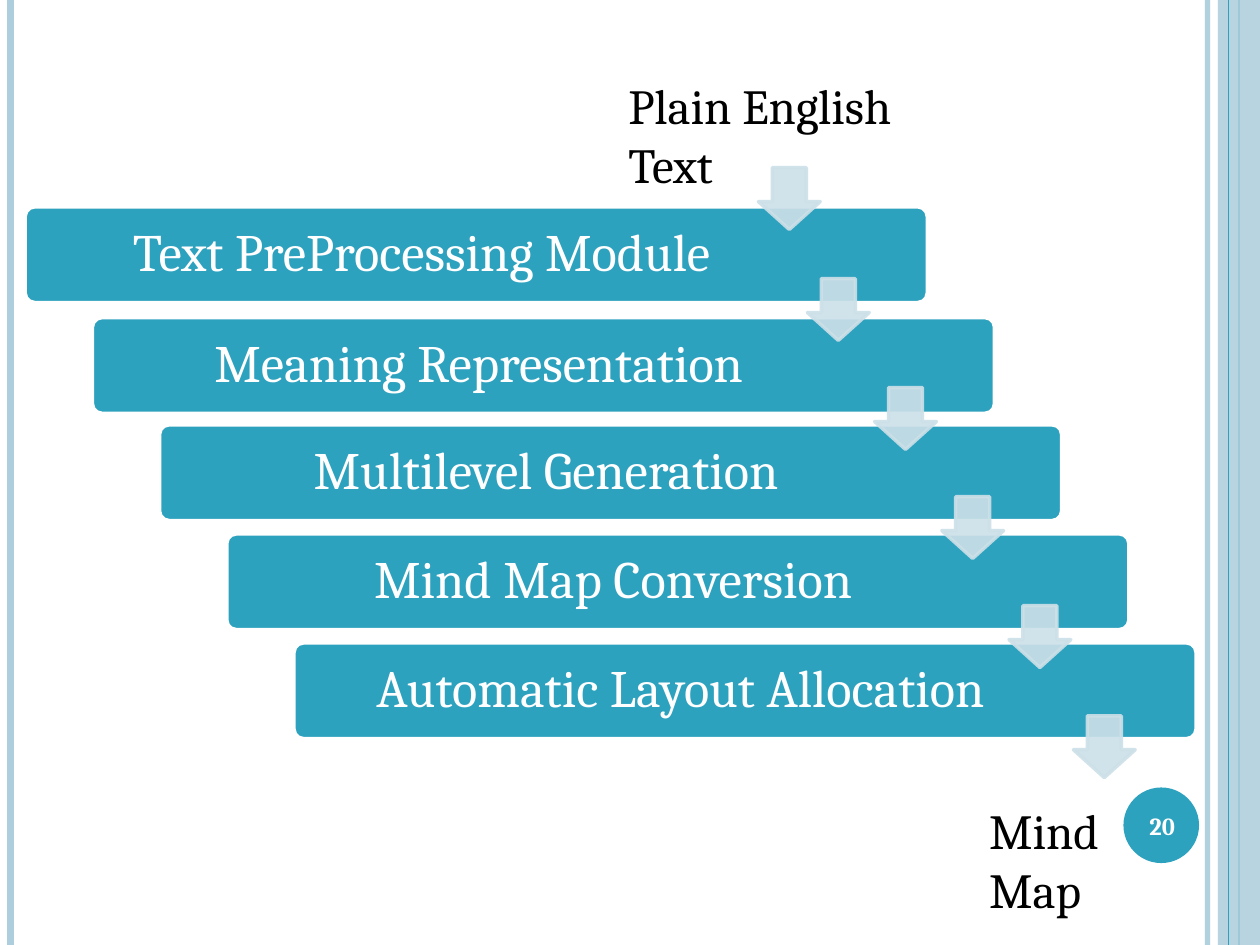
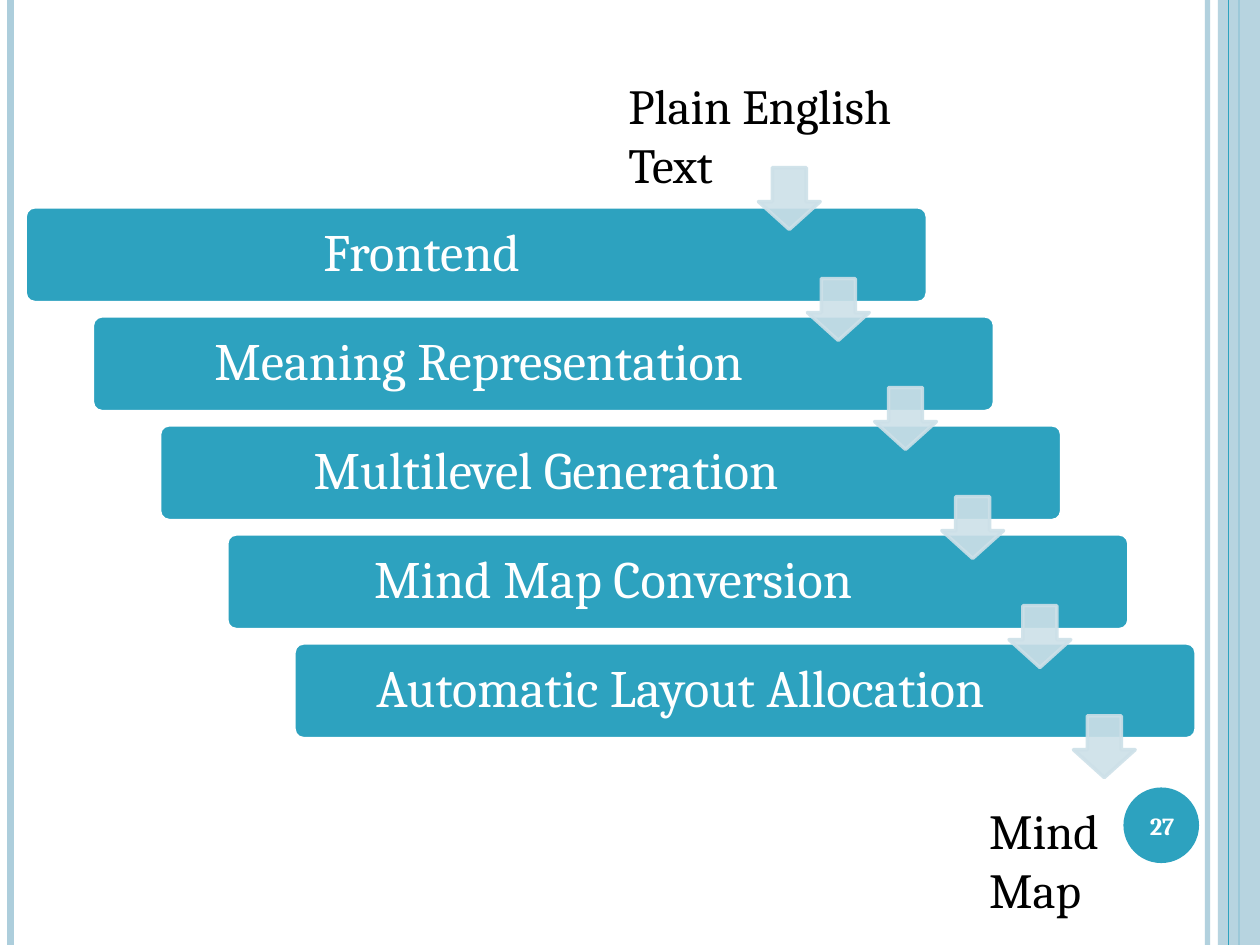
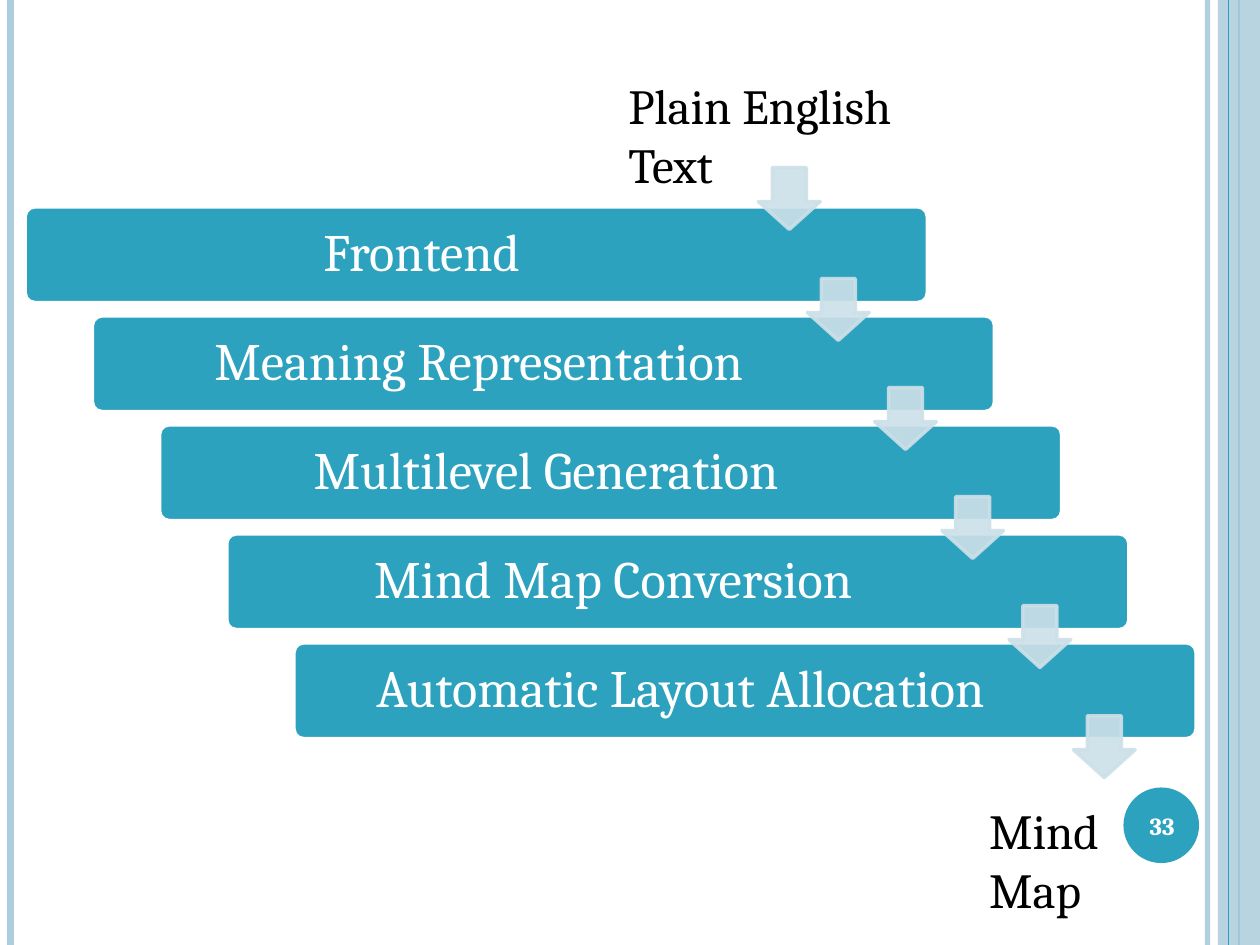
from pptx import Presentation
from pptx.dml.color import RGBColor
from pptx.enum.shapes import MSO_CONNECTOR as Conn, MSO_SHAPE as Form
from pptx.enum.text import MSO_ANCHOR as Anchor, PP_ALIGN as Align
from pptx.oxml.ns import qn
from pptx.util import Pt
from lxml.etree import SubElement as sub

WIDE, HIGH = 720, 540
TEAL, PALE, MIST, WHITE, BLACK = "2DA2BF", "ADCEDC", "CDE0E8", "FFFFFF", "000000"
FONT = "Cambria"
BAR_W, BAR_H = 515.5, 54.7
STEP_X, STEP_Y = 38.4, 62.3
ARROW = 35.3
STEPS = ["Meaning Representation", "Multilevel Generation",
         "Mind Map Conversion", "Automatic Layout Allocation"]
# Page number, first step, extra drop of the second bar
PAGES = [(20, "Text PreProcessing Module", 1), (27, "Frontend", 0), (33, "Frontend", 0)]


def paint(fmt, color, alpha=100):
    """Give a fill a solid colour, see-through when alpha is below 100."""
    fmt.solid()
    fmt.fore_color.rgb = RGBColor.from_string(color)
    if alpha < 100:
        # The colour node is the one just set on the fill
        node = fmt._xPr.find(qn("a:solidFill"))[0]
        sub(node, qn("a:alpha"), val=str(alpha * 1000))


def add_form(slide, kind, box, color, alpha=100, edge=None, adj=()):
    form = slide.shapes.add_shape(kind, *map(Pt, box))
    form.shadow.inherit = False
    paint(form.fill, color, alpha)
    for i, val in enumerate(adj):
        form.adjustments[i] = val
    if edge:
        form.line.width = Pt(2)
        paint(form.line.fill, edge, alpha)
    else:
        form.line.fill.background()


def add_text(slide, text, box, size, color, inset=None, space=None, **style):
    frame = slide.shapes.add_textbox(*map(Pt, box)).text_frame
    frame.word_wrap = True
    if inset is not None:
        for side in ("left", "top", "right", "bottom"):
            setattr(frame, f"margin_{side}", Pt(inset))
    para = frame.paragraphs[0]
    if style.pop("mid", False):
        frame.vertical_anchor = Anchor.MIDDLE
        para.alignment = Align.CENTER
    if space:
        para.line_spacing = space
    run = para.add_run()
    run.text = text
    for key, val in {"name": FONT, "size": Pt(size), **style}.items():
        setattr(run.font, key, val)
    run.font.color.rgb = RGBColor.from_string(color)


def add_rule(slide, x, color, width, alpha=100):
    rule = slide.shapes.add_connector(Conn.STRAIGHT, Pt(x), 0, Pt(x), Pt(HIGH))
    rule.line.width = Pt(width)
    paint(rule.line.fill, color, alpha)
    sub(rule._element.spPr, qn("a:effectLst"))


def add_frame(slide):
    """Side rules, right band and page disc."""
    add_rule(slide, 690, PALE, 3, 93)
    add_rule(slide, 6, PALE, 4.5)
    add_rule(slide, 708, TEAL, 1.5)
    add_form(slide, Form.RECTANGLE, (696, 0, WIDE - 696, HIGH), PALE, 87)
    add_rule(slide, 702, TEAL, 0.75)
    add_form(slide, Form.OVAL, (642, 450, 43.2, 43.2), TEAL)


def add_bar(slide, x, y, label, label_w):
    add_form(slide, Form.ROUNDED_RECTANGLE, (x, y, BAR_W, BAR_H), TEAL,
             edge=WHITE, adj=[0.1])
    add_text(slide, label, (x + 1.6, y + 1.6, label_w, BAR_H - 3.2), 30, WHITE,
             inset=8.6, space=0.9, mid=True)


def add_arrow(slide, x, y):
    add_form(slide, Form.DOWN_ARROW, (x, y, ARROW, ARROW), MIST, 90,
             edge=MIST, adj=[0.55, 0.45])


def add_stairs(slide, x, y, labels, drop):
    """Bars going down to the right, arrows between, input and output."""
    for i, label in enumerate(labels):
        add_bar(slide, x + i * STEP_X, y + i * STEP_Y + (drop if i == 1 else 0),
                label, 438.5 if i else 450)
    for i in range(len(labels) - 1):
        add_arrow(slide, x + 447 + i * STEP_X, y + 41 + i * STEP_Y)
    add_arrow(slide, x + 419, y - 22.4)
    add_arrow(slide, x + 599, y + 290.8)
    add_text(slide, "Plain English Text", (x + 337.6, y - 78.5, 211, 41), 28, BLACK)
    add_text(slide, "Mind Map", (x + 543.8, y + 335.6, 130, 41), 28, BLACK)


def main():
    deck = Presentation()
    deck.slide_width, deck.slide_height = Pt(WIDE), Pt(HIGH)
    for page, first, drop in PAGES:
        slide = deck.slides.add_slide(deck.slide_layouts[6])
        add_frame(slide)
        add_stairs(slide, 14.4, 118.2, [first, *STEPS], drop)
        add_text(slide, str(page), (640, 451.5, 48.2, 41), 14, WHITE,
                 mid=True, bold=True)
    deck.save("out.pptx")


if __name__ == "__main__":
    main()
